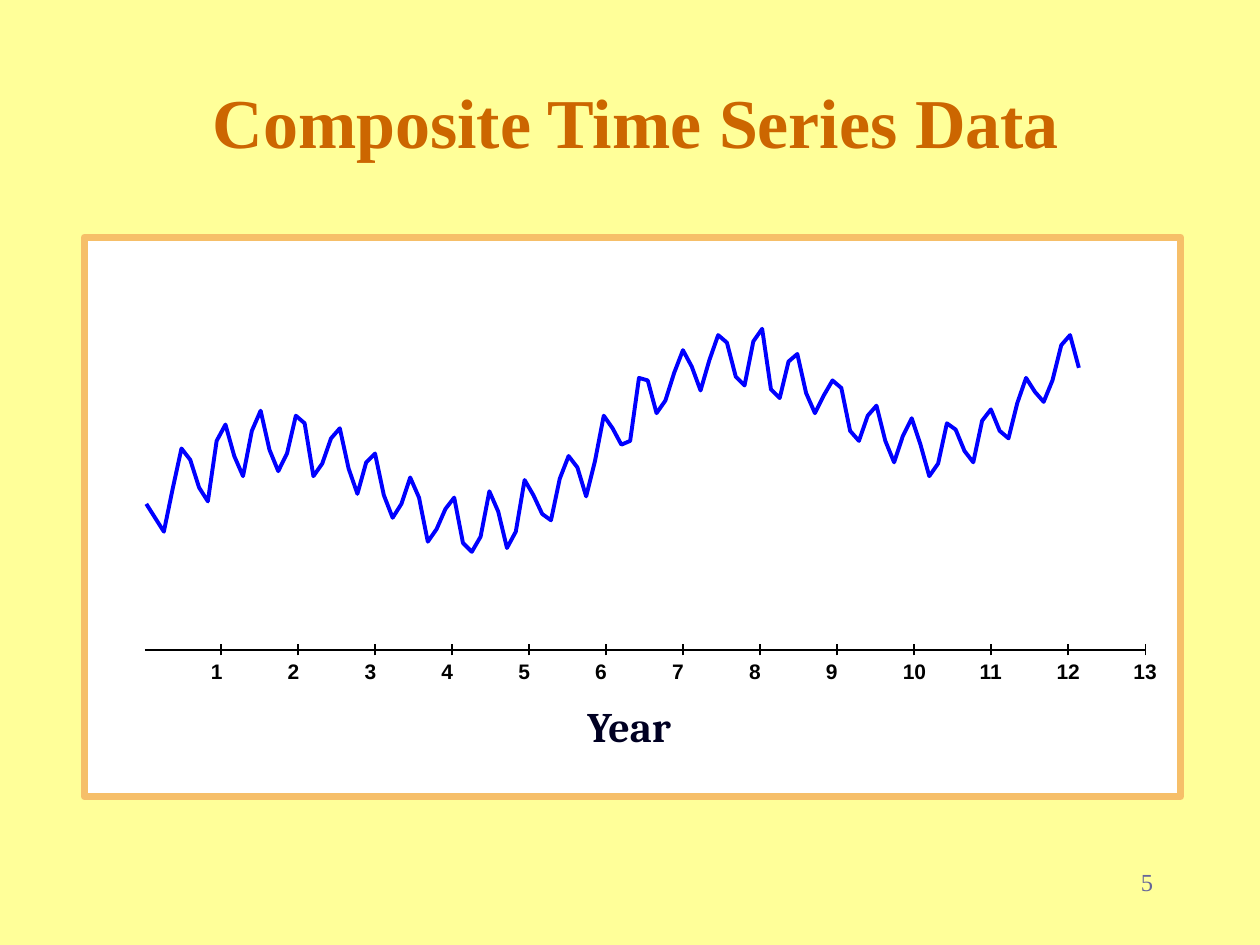
from pptx import Presentation
from pptx.util import Cm, Pt
from pptx.dml.color import RGBColor
from pptx.enum.shapes import MSO_SHAPE as Shape, MSO_CONNECTOR as Line
from pptx.enum.text import PP_ALIGN as Align, MSO_ANCHOR as Anchor, MSO_AUTO_SIZE as Auto
from pptx.oxml.ns import qn
from lxml.etree import SubElement

# Content
TITLE = "Composite Time Series Data"
AXIS = "Year"
PAGE = "5"
YEARS = [str(n) for n in range(1, 14)]

# Evenly spaced curve points: distance from the slide top, in 1/100 inch
CURVE = [
    400, 411, 422, 388, 356, 365, 387, 398, 350, 337, 362, 378, 342, 326, 357, 374, 360, 330,
    336, 378, 368, 348, 340, 372, 392, 367, 360, 393, 411, 400, 379, 395, 430, 420, 404, 395,
    431, 438, 426, 390, 406, 435, 422, 381, 393, 408, 413, 380, 362, 371, 394, 366, 330, 340,
    353, 350, 300, 302, 328, 318, 296, 278, 291, 310, 286, 266, 272, 299, 306, 271, 261, 309,
    316, 287, 281, 312, 328, 314, 302, 308, 342, 350, 330, 322, 350, 367, 346, 332, 353, 378,
    368, 336, 341, 358, 367, 334, 325, 342, 348, 320, 300, 311, 319, 302, 274, 266, 292,
]

COLORS = {
    "back": "FFFF99", "title": "CC6600", "panel": "FFFFFF", "frame": "F6BF69",
    "axis": "000000", "curve": "0000FF", "year": "000022", "page": "666699",
}

# Layout in cm
AXIS_L, AXIS_R, AXIS_Y = 2.92, 23.09, 13.11
TICK_L, TICK_T, TICK_B = 4.45, 12.98, 13.21
TICK_GAP = (AXIS_R - TICK_L) / (len(YEARS) - 1)
LABEL_L, LABEL_GAP, LABEL_T = 4.0, 1.55, 13.16
CURVE_L, CURVE_W = 2.95, 18.8
INCH = 2.54


def color(name):
    return RGBColor.from_string(COLORS[name])


def stroke(shape, name, width):
    shape.line.color.rgb = color(name)
    shape.line.width = Pt(width)


def text(parts, words, box, font, size, name, bold=True, align=Align.LEFT, wrap=True):
    shape = parts.add_textbox(*map(Cm, box))
    frame = shape.text_frame
    frame.word_wrap = wrap
    frame.auto_size = Auto.NONE if wrap else Auto.SHAPE_TO_FIT_TEXT
    para = frame.paragraphs[0]
    para.alignment = align
    run = para.add_run()
    run.text = words
    run.font.name, run.font.size, run.font.bold = font, Pt(size), bold
    run.font.color.rgb = color(name)
    return frame


def rule(parts, x1, y1, x2, y2):
    line = parts.add_connector(Line.STRAIGHT, *map(Cm, (x1, y1, x2, y2)))
    stroke(line, "axis", 1)
    SubElement(line._element.spPr, qn("a:effectLst"))


def main():
    deck = Presentation()
    deck.slide_width, deck.slide_height = Cm(25.4), Cm(19.05)
    slide = deck.slides.add_slide(deck.slide_layouts[6])
    slide.background.fill.solid()
    slide.background.fill.fore_color.rgb = color("back")

    # Title
    head = text(slide.shapes, TITLE, (1.07, 0.84, 23.5, 3.18), "Times New Roman", 40,
                "title", align=Align.CENTER)
    head.vertical_anchor = Anchor.MIDDLE

    # Panel
    parts = slide.shapes.add_group_shape().shapes
    panel = parts.add_shape(Shape.RECTANGLE, *map(Cm, (1.7, 4.78, 22.1, 11.28)))
    panel.shadow.inherit = False
    panel.fill.solid()
    panel.fill.fore_color.rgb = color("panel")
    stroke(panel, "frame", 4)

    # Axis and ticks
    rule(parts, AXIS_L, AXIS_Y, AXIS_R, AXIS_Y)
    for i in range(len(YEARS)):
        x = TICK_L + i * TICK_GAP
        rule(parts, x, TICK_B, x, TICK_T)

    # Curve
    step = CURVE_W / (len(CURVE) - 1)
    dots = [(Cm(CURVE_L + i * step), Cm(y / 100 * INCH)) for i, y in enumerate(CURVE)]
    trace = parts.build_freeform(*dots[0])
    trace.add_line_segments(dots[1:], close=False)
    curve = trace.convert_to_shape()
    curve.shadow.inherit = False
    curve.fill.background()
    stroke(curve, "curve", 2.25)

    # Year labels
    for i, year in enumerate(YEARS):
        box = (LABEL_L + i * LABEL_GAP, LABEL_T, 0.51 + 0.23 * len(year), 0.76)
        text(parts, year, box, "Arial", 12, "axis", wrap=False)
    text(parts, AXIS, (11.43, 14.0, 2.51, 1.27), "Cambria", 24, "year",
         align=Align.CENTER, wrap=False)

    # Page number
    foot = text(slide.shapes, PAGE, (21.39, 17.35, 2.11, 1.27), "Times New Roman", 14,
                "page", bold=False, align=Align.RIGHT)
    foot.paragraphs[0].space_before = Pt(8.8)

    deck.save("out.pptx")


if __name__ == "__main__":
    main()
